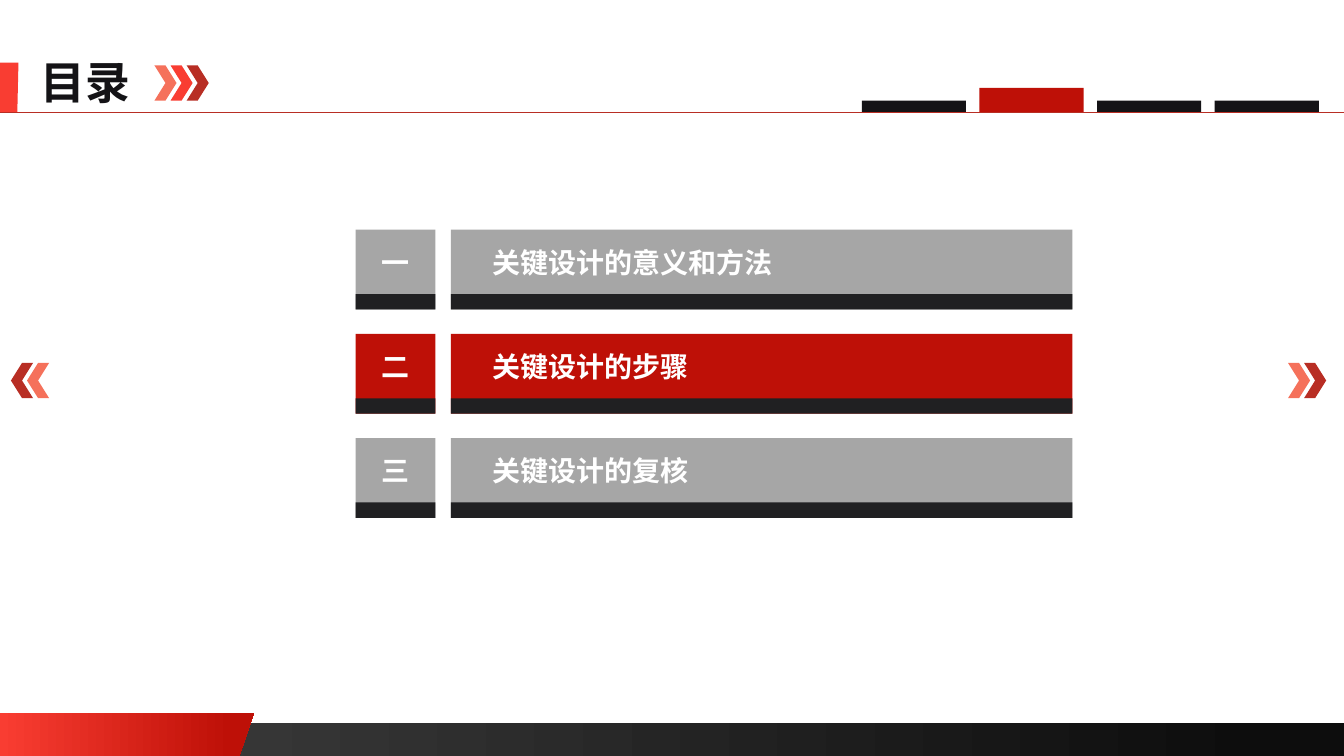
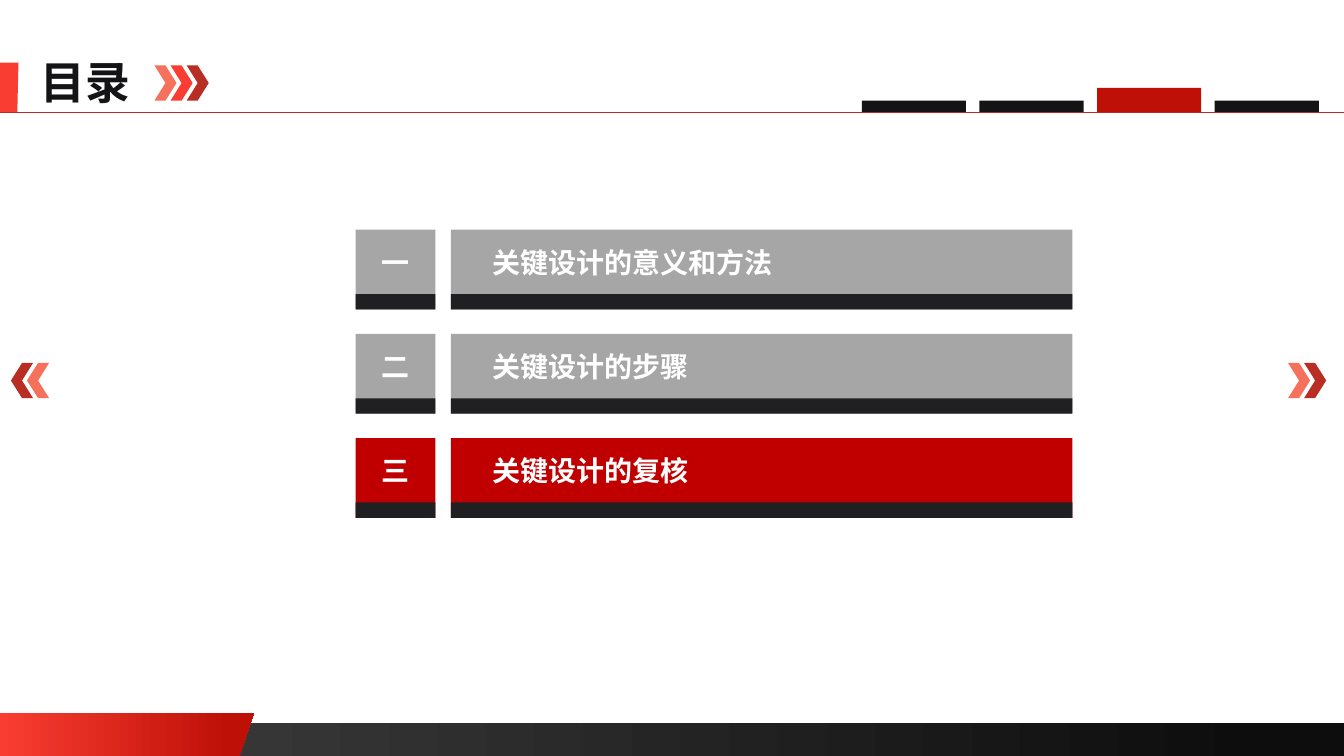
"""Build two agenda slides, each with its current section highlighted."""
from lxml import etree
from pptx import Presentation
from pptx import util as u
from pptx.dml.color import RGBColor
from pptx.enum import shapes, text
from pptx.oxml.ns import qn

FONT = "Noto Sans CJK SC"
C = {
    "ink": "141316", "white": "FFFFFF", "grey": "A6A6A6", "strip": "202022",
    "coral": "F5715B", "bright": "F93D32", "brick": "B82E24", "red": "BE1007",
    "deep": "C00000", "bar_from": "404040", "bar_to": "0D0D0D",
}
SECTIONS = [("一", "关键设计的意义和方法"), ("二", "关键设计的步骤"), ("三", "关键设计的复核")]
SLIDES = [(1, "red"), (2, "deep")]
RECT, CHEVRON = shapes.MSO_SHAPE.RECTANGLE, shapes.MSO_SHAPE.CHEVRON
LEFT, CENTER = text.PP_ALIGN.LEFT, text.PP_ALIGN.CENTER


def paint(sp, colour, end=None, stop=1.0):
    sp.shadow.inherit = False
    sp.line.fill.background()
    if end is None:
        sp.fill.solid()
        sp.fill.fore_color.rgb = RGBColor.from_string(C[colour])
        return
    sp.fill.gradient()
    sp.fill.gradient_angle = 0
    for gs, key, pos in zip(sp.fill.gradient_stops, (colour, end), (0, stop)):
        gs.color.rgb = RGBColor.from_string(C[key])
        gs.position = pos


def write(sp, words, size=20, colour="white", align=CENTER, left=0, bottom=0):
    tf = sp.text_frame
    tf.word_wrap = False
    tf.auto_size = text.MSO_AUTO_SIZE.NONE
    tf.vertical_anchor = text.MSO_ANCHOR.MIDDLE
    tf.margin_left, tf.margin_bottom = u.Pt(left), u.Pt(bottom)
    tf.margin_right = tf.margin_top = 0
    p = tf.paragraphs[0]
    p.alignment = align
    r = p.add_run()
    r.text = words
    r.font.name, r.font.size, r.font.bold = FONT, u.Pt(size), True
    r.font.color.rgb = RGBColor.from_string(C[colour])
    etree.SubElement(r.font._element, qn("a:ea"), typeface=FONT)


prs = Presentation()
prs.slide_width, prs.slide_height = u.Pt(960), u.Pt(540)

for current, highlight in SLIDES:
    s = prs.slides.add_slide(prs.slide_layouts[5])

    sp = s.shapes.add_shape(RECT, 0, u.Pt(516.5), u.Pt(960), u.Pt(23.5))
    paint(sp, "bar_from", "bar_to", 0.94)
    for outline, fill in [
        ([(0, 509), (181.5, 509), (171, 540), (0, 540)], ("bright", "red", 0.91)),
        ([(0, 44.7), (13.2, 44.7), (12.4, 80.3), (0, 80.3)], ("bright",)),
    ]:
        pts = [(u.Pt(x), u.Pt(y)) for x, y in outline]
        fb = s.shapes.build_freeform(*pts[0])
        fb.add_line_segments(pts[1:], close=True)
        paint(fb.convert_to_shape(), *fill)

    title = s.shapes.title
    title.left, title.top, title.width, title.height = u.Pt(21.6), u.Pt(35.3), u.Pt(79), u.Pt(46)
    write(title, "目录", size=32, colour="ink", align=LEFT, left=7.2)

    rule = s.shapes.add_connector(shapes.MSO_CONNECTOR.STRAIGHT, 0, u.Pt(80.2), u.Pt(960), u.Pt(80.2))
    rule.line.color.rgb = RGBColor.from_string(C["brick"])
    rule.line.width = u.Pt(0.5)
    etree.SubElement(rule._element.spPr, qn("a:effectLst"))

    for x, y, step, turn, colours in [
        (110.3, 46.7, 11.5, 0, ("coral", "bright", "brick")),
        (920, 259.2, 11.5, 0, ("coral", "brick")),
        (19.3, 259.2, -11.5, 180, ("coral", "brick")),
    ]:
        for i, colour in enumerate(colours):
            sp = s.shapes.add_shape(CHEVRON, u.Pt(x + i * step), u.Pt(y), u.Pt(15.8), u.Pt(25.2))
            sp.rotation = turn
            paint(sp, colour)

    for i in range(4):
        top, colour = (62.8, "red") if i == current else (71.8, "ink")
        sp = s.shapes.add_shape(RECT, u.Pt(615.6 + 84 * i), u.Pt(top), u.Pt(74.4), u.Pt(80 - top))
        paint(sp, colour)

    for i, (number, label) in enumerate(SECTIONS):
        top = 164.1 + 74.4 * i
        for x, w, words, fmt in [
            (254, 57, number, {}),
            (322, 444, label, {"align": LEFT, "left": 29.5}),
        ]:
            box = s.shapes.add_shape(RECT, u.Pt(x), u.Pt(top), u.Pt(w), u.Pt(57))
            paint(box, highlight if i == current else "grey")
            write(box, words, bottom=11, **fmt)
            strip = s.shapes.add_shape(RECT, u.Pt(x), u.Pt(top + 46), u.Pt(w), u.Pt(11))
            paint(strip, "strip")

prs.save("out.pptx")
